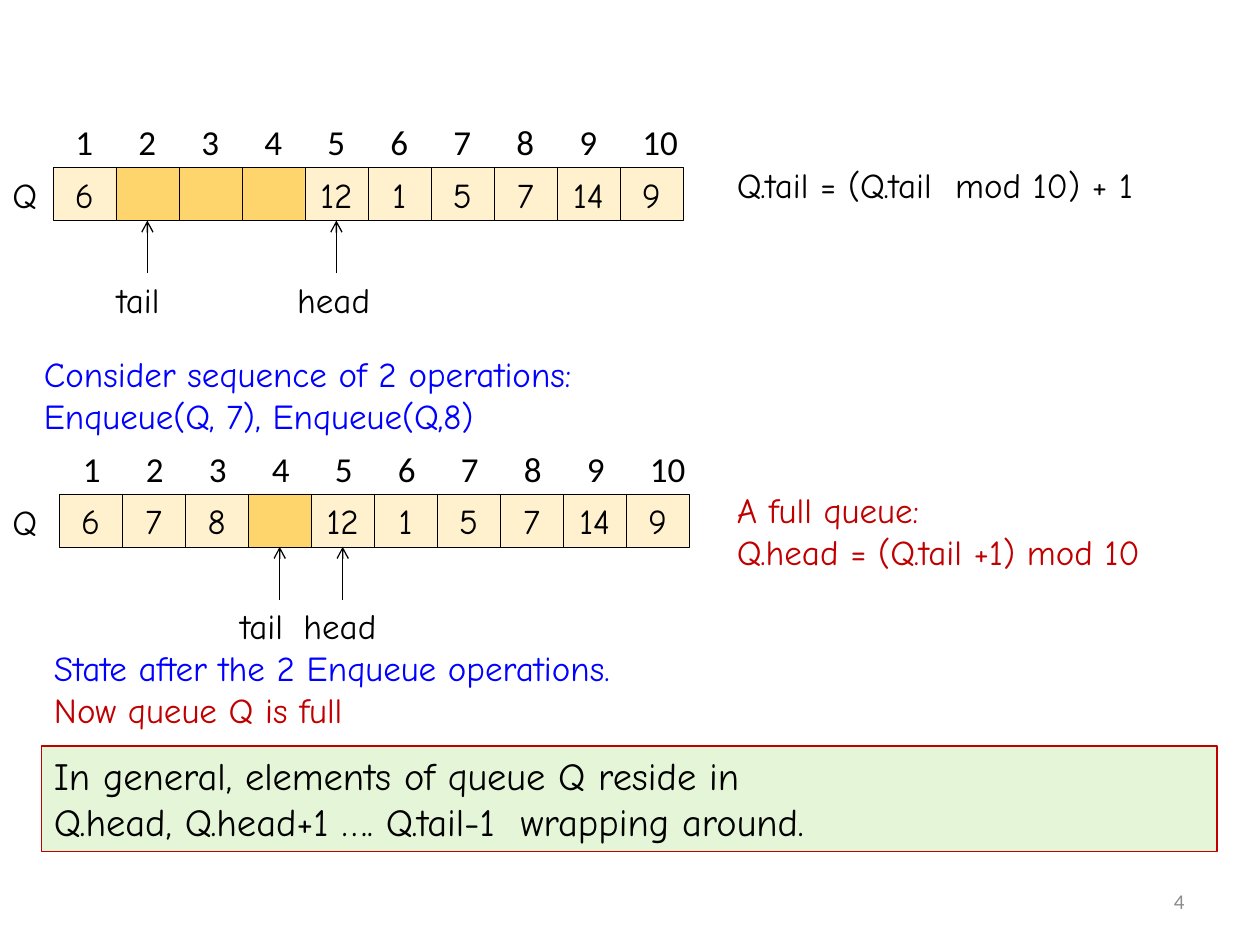
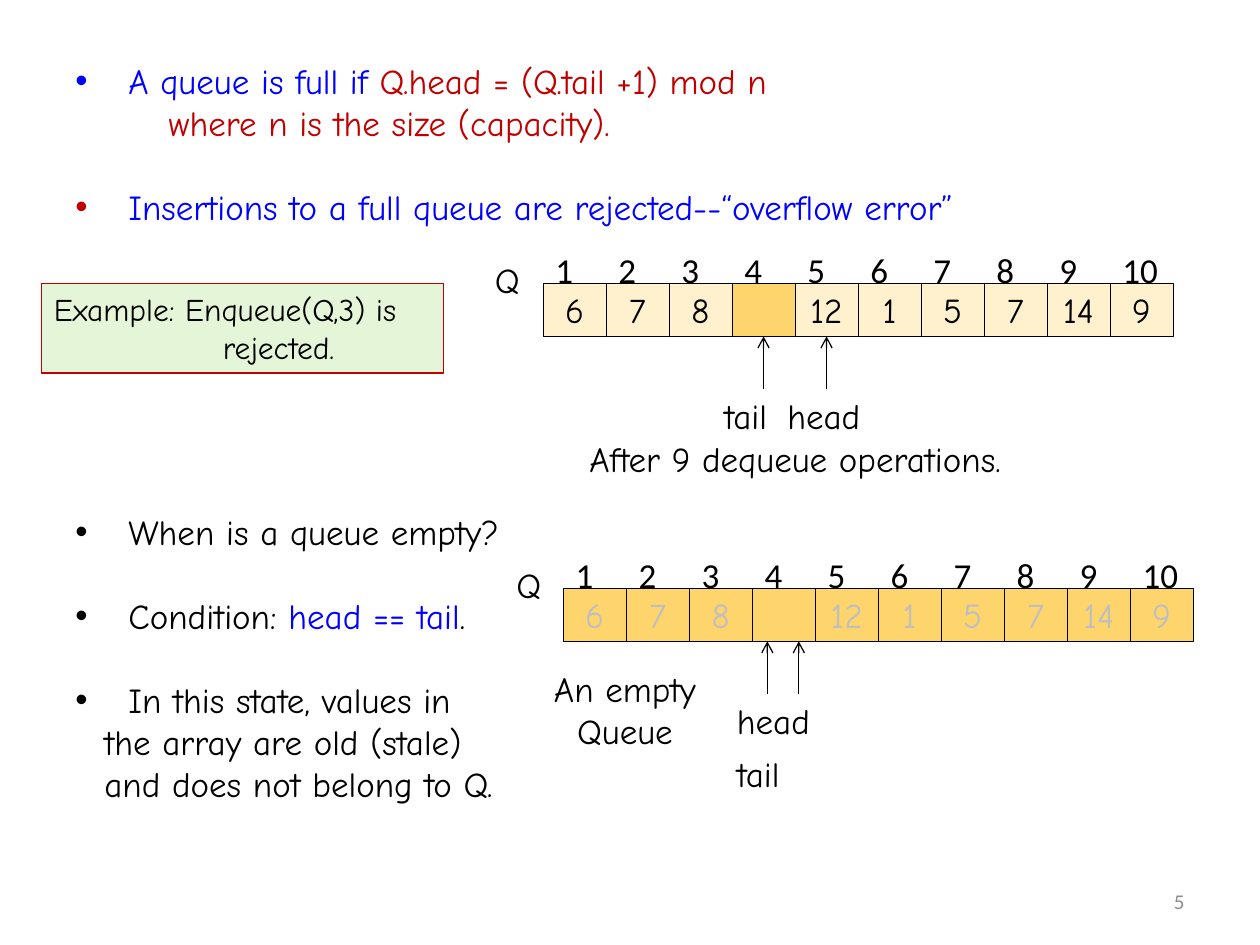
from dataclasses import dataclass
from lxml import etree
from pptx import Presentation
from pptx import util as u
from pptx.dml.color import RGBColor
from pptx.enum import shapes, text
from pptx.oxml.ns import qn


@dataclass(frozen=True)
class Theme:
    body: str = "Comic Neue"
    plain: str = "Calibri"
    black: str = "000000"
    blue: str = "0000FF"
    red: str = "C00000"
    grey: str = "8C8C8C"
    stale: str = "BFBFBF"
    used: str = "FFF1CE"
    free: str = "FED46C"
    note: str = "E5F6D8"
    size: int = 20
    note_size: int = 22
    example_size: int = 18
    page_size: int = 12


T = Theme()
CELL_W, CELL_H, ARROW_H = 0.5, 0.42, 0.42
LINE_H = 24
HANG = 0.42
INDEX_STOPS = (0.46, 1.04, 1.62, 2.07, 2.53, 2.98, 3.5, 4.02, 4.54)
INDEXES = "\t".join(str(n) for n in range(1, 11))

BEFORE = ["6", "", "", "", "12", "1", "5", "7", "14", "9"]
FULL = ["6", "7", "8", "", "12", "1", "5", "7", "14", "9"]
FULL_POINTERS = [("tail", 1.75, 1.34, 0.83), ("head", 2.25, 1.84, 0.83)]


def para(*runs, **layout):
    return runs, layout


def bullet(*runs, **layout):
    return para(*runs, left=HANG, hang=HANG, **layout)


SLIDES = [
    dict(
        page="4",
        queues=[
            dict(at=(0.42, 1.33), values=BEFORE, index=(0.08, -0.42), name=(-0.42, 0),
                 pointers=[("tail", 0.75, 0.41, 0.83), ("head", 2.25, 1.84, 0.83)]),
            dict(at=(0.47, 3.92), values=FULL, index=(0.09, -0.42), name=(-0.47, 0),
                 pointers=FULL_POINTERS),
        ],
        texts=[
            dict(box=(0.25, 2.75, 4.77, 0.77), paras=[
                para(("Consider sequence of 2 operations:", T.blue)),
                para(("Enqueue(Q, 7), Enqueue(Q,8)", T.blue))]),
            dict(box=(5.75, 1.25, 3.72, 0.44), paras=[
                para(("Q.tail = (Q.tail  mod 10) + 1", T.black))]),
            dict(box=(0.33, 5.08, 5.21, 0.77), paras=[
                para(("State after the 2 Enqueue operations.", T.blue)),
                para(("Now queue Q is full", T.red))]),
            dict(box=(5.75, 3.83, 3.83, 0.77), paras=[
                para(("A full queue:", T.red)),
                para(("Q.head = (Q.tail +1) mod 10", T.red))]),
        ],
        note=dict(box=(0.33, 5.92, 9.33, 0.84), size=T.note_size, paras=[
            para(("In general, elements of queue Q reside in", T.black)),
            para(("Q.head, Q.head+1 …. Q.tail-1  wrapping around.", T.black))]),
    ),
    dict(
        page="5",
        queues=[
            dict(at=(4.31, 2.25), values=FULL, index=(0, -0.33), name=(-0.48, -0.25),
                 pointers=FULL_POINTERS),
            dict(at=(4.47, 4.67), values=FULL, index=(0, -0.33), name=(-0.47, -0.25),
                 pointers=[("head", 1.87, 1.28, 0.83), ("tail", 1.62, 1.28, 1.25)],
                 empty=True),
        ],
        texts=[
            dict(box=(0.5, 0.42, 8, 1.75), wrap=True, paras=[
                bullet(("A queue is full if ", T.blue), ("Q.head = (Q.tail +1) mod n", T.red)),
                para(("where n is the size (capacity).", T.red), left=0.74),
                bullet(("Insertions to a full queue are rejected--“overflow error”", T.blue),
                       mark=T.red, before=LINE_H)]),
            dict(box=(0.5, 4, 3.58, 2.79), wrap=True, paras=[
                bullet(("When is a queue empty?", T.black)),
                bullet(("Condition: ", T.black), ("head == tail", T.blue), (".", T.black),
                       before=LINE_H),
                bullet(("In this state, values in", T.black), before=LINE_H),
                para(("the array are old (stale) and does not belong to Q.", T.black),
                     left=0.23)]),
            dict(box=(4.25, 5.25, 1.42, 1.11), wrap=True, align="CENTER", paras=[
                para(("An empty Queue", T.black))]),
            dict(box=(4.58, 3.42, 3.99, 0.44), paras=[
                para(("After 9 dequeue operations.", T.black))]),
        ],
        note=dict(box=(0.33, 2.25, 3.19, 0.71), size=T.example_size, paras=[
            para(("Example: Enqueue(Q,3) is", T.black)),
            para(("rejected.", T.black), left=1.34)]),
    ),
]


def inches(values):
    return [u.Inches(v) for v in values]


def add_bullet(ppr, color):
    clr = etree.SubElement(ppr, qn("a:buClr"))
    etree.SubElement(clr, qn("a:srgbClr"), val=color)
    etree.SubElement(ppr, qn("a:buFont"), typeface="Arial")
    etree.SubElement(ppr, qn("a:buChar"), char="•")


def write(sp, paras, size=T.size, font=T.body, align="LEFT", anchor="TOP", wrap=False):
    tf = sp.text_frame
    tf.word_wrap = wrap
    tf.vertical_anchor = text.MSO_ANCHOR[anchor]
    for i, (runs, layout) in enumerate(paras):
        p = tf.paragraphs[0] if i == 0 else tf.add_paragraph()
        p.alignment = text.PP_ALIGN[align]
        p.space_before = u.Pt(layout.get("before", 0))
        ppr = p._p.get_or_add_pPr()
        ppr.set("marL", str(u.Inches(layout.get("left", 0))))
        ppr.set("indent", str(-u.Inches(layout.get("hang", 0))))
        if "hang" in layout:
            add_bullet(ppr, layout.get("mark", runs[0][1]))
        if "tabs" in layout:
            tabs = etree.SubElement(ppr, qn("a:tabLst"))
            for stop in layout["tabs"]:
                etree.SubElement(tabs, qn("a:tab"), pos=str(u.Inches(stop)), algn="l")
        for words, color in runs:
            r = p.add_run()
            r.text = words
            r.font.name, r.font.size = font, u.Pt(size)
            r.font.color.rgb = RGBColor.from_string(color)


def add_text(parent, box, paras, **style):
    write(parent.add_textbox(*inches(box)), paras, **style)


def add_box(parent, box, fill, line, weight):
    sp = parent.add_shape(shapes.MSO_SHAPE.RECTANGLE, *inches(box))
    sp.shadow.inherit = False
    sp.fill.solid()
    sp.fill.fore_color.rgb = RGBColor.from_string(fill)
    sp.line.color.rgb = RGBColor.from_string(line)
    sp.line.width = u.Pt(weight)
    return sp


def add_arrow(parent, x, bottom, top):
    line = parent.add_connector(shapes.MSO_CONNECTOR.STRAIGHT, *inches((x, bottom, x, top)))
    line.line.color.rgb = RGBColor.from_string(T.black)
    line.line.width = u.Pt(0.75)
    etree.SubElement(line.line._get_or_add_ln(), qn("a:tailEnd"), type="arrow")
    etree.SubElement(line._element.spPr, qn("a:effectLst"))


def add_queue(slide, at, values, index, name, pointers, empty=False):
    group = slide.shapes.add_group_shape().shapes
    x, y = at
    for i, value in enumerate(values):
        fill = T.used if value and not empty else T.free
        cell = add_box(group, (x + i * CELL_W, y, CELL_W, CELL_H), fill, T.black, 0.25)
        if value:
            color = T.stale if empty else T.black
            write(cell, [para((value, color))], align="CENTER", anchor="MIDDLE")
    add_text(group, (x + index[0], y + index[1], 5.3, 0.44),
             [para((INDEXES, T.black), tabs=INDEX_STOPS)], font=T.plain, wrap=True)
    add_text(group, (x + name[0], y + name[1], 0.45, 0.44), [para(("Q", T.black))])
    for label, arrow_x, label_x, label_y in pointers:
        add_arrow(group, x + arrow_x, y + CELL_H + ARROW_H, y + CELL_H)
        width = 0.83 if label == "head" else 0.63
        add_text(group, (x + label_x, y + label_y, width, 0.44), [para((label, T.black))])


def add_note(slide, box, size, paras):
    sp = add_box(slide.shapes, box, T.note, T.red, 0.75)
    write(sp, paras, size=size, wrap=True)


def build(prs, content):
    slide = prs.slides.add_slide(prs.slide_layouts[6])
    for queue in content["queues"]:
        add_queue(slide, **queue)
    for block in content["texts"]:
        add_text(slide.shapes, **block)
    add_note(slide, **content["note"])
    add_text(slide.shapes, (7.17, 6.95, 2.33, 0.4), [para((content["page"], T.grey))],
             size=T.page_size, font=T.plain, align="RIGHT", anchor="MIDDLE", wrap=True)


prs = Presentation()
prs.slide_width, prs.slide_height = inches((10, 7.5))
for content in SLIDES:
    build(prs, content)
prs.save("out.pptx")
